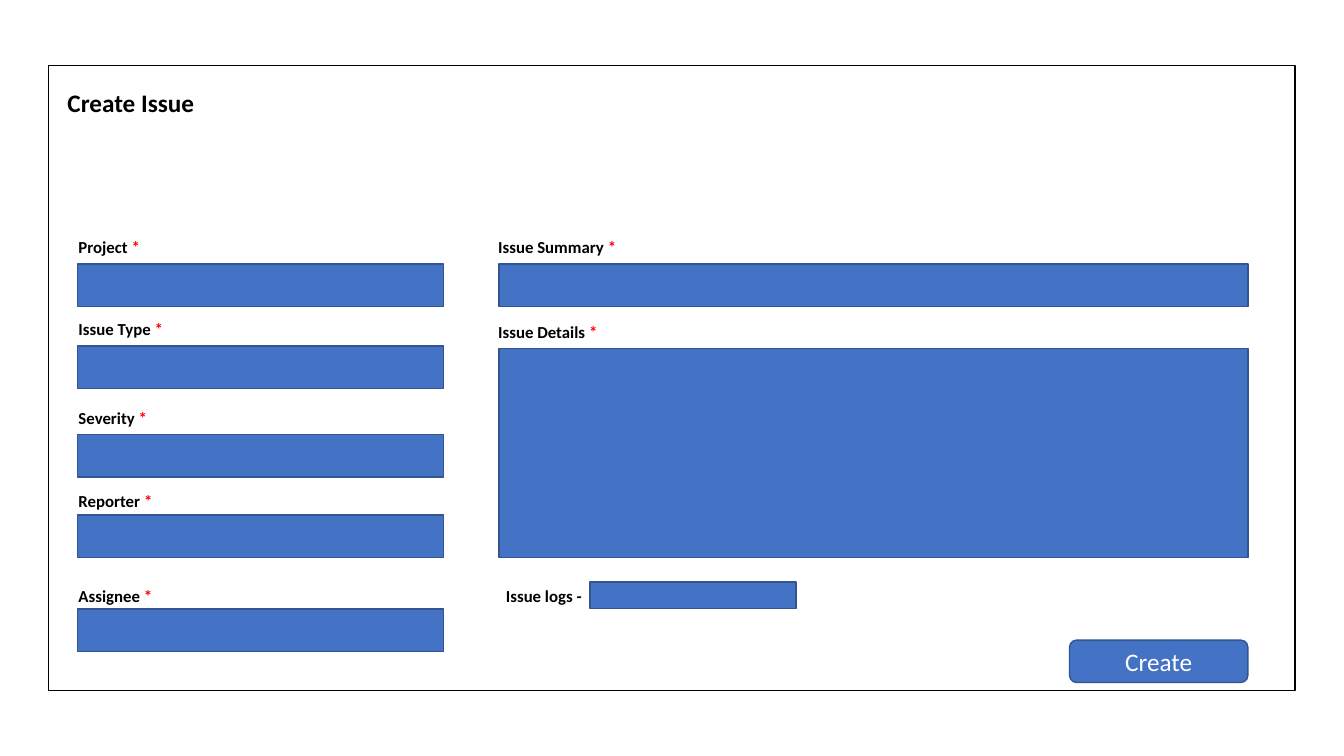
from pptx import Presentation
from pptx.dml.color import RGBColor
from pptx.enum.shapes import MSO_SHAPE as SHAPE
from pptx.enum.text import MSO_ANCHOR as ANCHOR, MSO_AUTO_SIZE as AUTO_SIZE, PP_ALIGN as ALIGN
from pptx.util import Pt

COLORS = {
    "panel": "FFFFFF",
    "outline": "000000",
    "field": "4472C4",
    "field_line": "325491",
    "text": "000000",
    "required": "FF0000",
    "button_text": "FFFFFF",
}


def add_box(kind, left, top, width, height, fill="field", line="field_line"):
    box = page.shapes.add_shape(kind, Pt(left), Pt(top), Pt(width), Pt(height))
    box.shadow.inherit = False
    box.fill.solid()
    box.fill.fore_color.rgb = RGBColor.from_string(COLORS[fill])
    box.line.color.rgb = RGBColor.from_string(COLORS[line])
    box.line.width = Pt(1)
    return box


def style_span(span, size, color, bold=True):
    span.font.name = "Calibri"
    span.font.size = Pt(size)
    span.font.bold = bold
    span.font.color.rgb = RGBColor.from_string(COLORS[color])


deck = Presentation()
deck.slide_width, deck.slide_height = Pt(960), Pt(540)
page = deck.slides.add_slide(deck.slide_layouts[5])

# Window panel, with the title in front of it
add_box(SHAPE.RECTANGLE, 34.6, 46.8, 890.6, 446.4, "panel", "outline")
title = page.shapes.title
title.element.getparent().append(title.element)
title.left, title.top, title.width, title.height = Pt(41), Pt(59), Pt(118), Pt(29)
title.text_frame.text = "Create Issue"
title.text_frame.auto_size = AUTO_SIZE.NONE
title.text_frame.vertical_anchor = ANCHOR.TOP
heading = title.text_frame.paragraphs[0]
heading.alignment = ALIGN.LEFT
heading.line_spacing = 1.0
style_span(heading.runs[0], 18, "text")

# Input fields: left, top, width, height
LEFT, LEFT_WIDTH = 55.6, 261.4
RIGHT, RIGHT_WIDTH = 356.4, 535
FIELD_HEIGHT = 30.3
for top in (188.6, 247, 310.3, 368, 435):
    add_box(SHAPE.RECTANGLE, LEFT, top, LEFT_WIDTH, FIELD_HEIGHT)
add_box(SHAPE.RECTANGLE, RIGHT, 188.6, RIGHT_WIDTH, FIELD_HEIGHT)
add_box(SHAPE.RECTANGLE, RIGHT, 249.1, RIGHT_WIDTH, 149)
add_box(SHAPE.RECTANGLE, 421.6, 415.8, 147, 18.7)

# Field labels: text, required mark, left, top, width
labels = [
    ("Project ", "*", 49, 165.6, 86),
    ("Issue Type ", "*", 49, 224, 86),
    ("Severity ", "*", 49, 287.5, 86),
    ("Reporter ", "*", 49, 347, 86),
    ("Assignee ", "*", 49, 414.7, 86),
    ("Issue Summary ", "*", 348.8, 165.6, 176),
    ("Issue Details ", "*", 348.8, 226.5, 176),
    ("Issue logs -", "", 354.3, 414.7, 176),
]
for name, mark, left, top, width in labels:
    label = page.shapes.add_textbox(Pt(left), Pt(top), Pt(width), Pt(21.8))
    label.text_frame.word_wrap = True
    para = label.text_frame.paragraphs[0]
    para.text = name
    style_span(para.runs[0], 12, "text")
    if mark:
        span = para.add_run()
        span.text = mark
        style_span(span, 12, "required")

button = add_box(SHAPE.ROUNDED_RECTANGLE, 764, 457.2, 127.4, FIELD_HEIGHT)
button.text_frame.text = "Create"
button.text_frame.vertical_anchor = ANCHOR.MIDDLE
para = button.text_frame.paragraphs[0]
para.alignment = ALIGN.CENTER
style_span(para.runs[0], 18, "button_text", bold=False)

deck.save("out.pptx")
